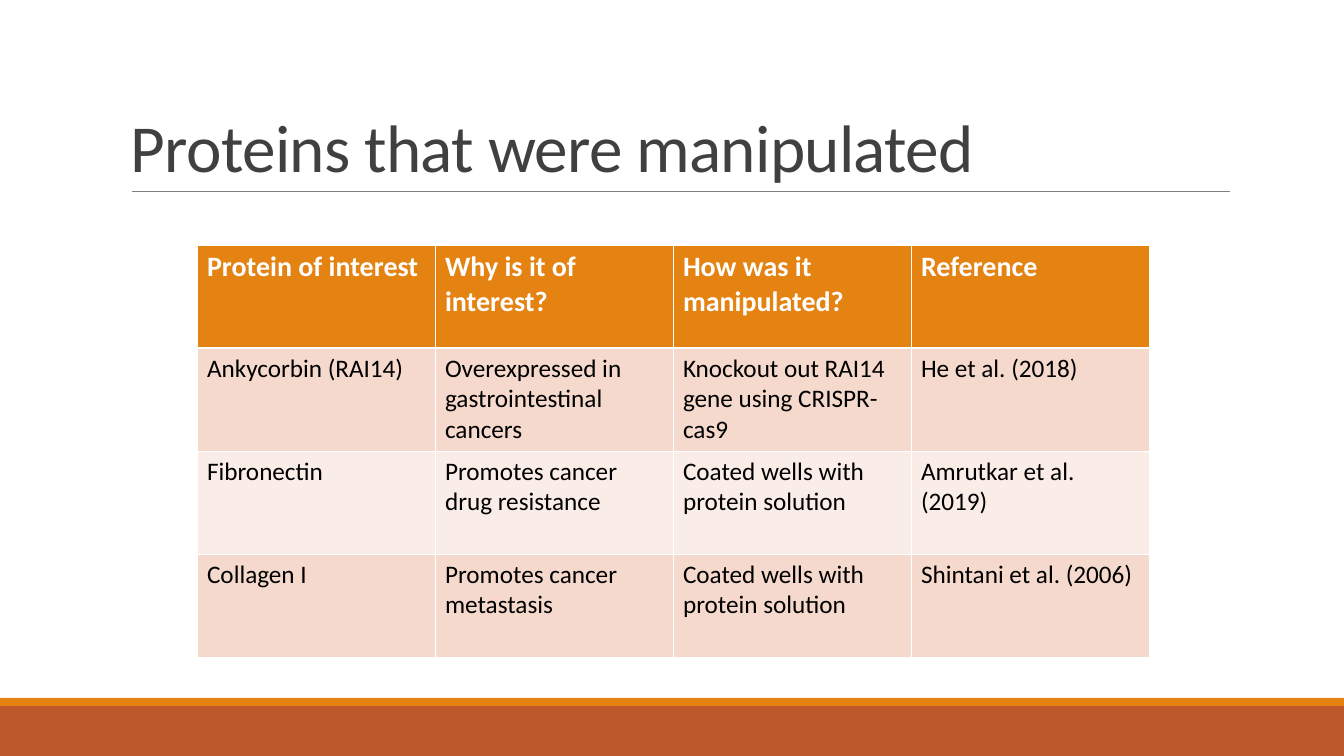
import pptx
import pptx.util
import pptx.dml.color
import pptx.enum.shapes
import pptx.enum.text
import pptx.oxml
import pptx.oxml.ns

RGB = pptx.dml.color.RGBColor
WHITE, BLACK = RGB(0xFF, 0xFF, 0xFF), RGB(0, 0, 0)
CHARCOAL, GRAY = RGB(0x40, 0x40, 0x40), RGB(0x80, 0x80, 0x80)
ORANGE, RUST = RGB(0xE4, 0x83, 0x12), RGB(0xBD, 0x58, 0x2C)
PEACH, PALE = RGB(0xF5, 0xD9, 0xCC), RGB(0xFA, 0xED, 0xE7)

TITLE = "Proteins that were manipulated"
ROWS = [
    ("Protein of interest", "Why is it of interest?", "How was it manipulated?", "Reference"),
    ("Ankycorbin (RAI14)", "Overexpressed in gastrointestinal cancers",
     "Knockout out RAI14 gene using CRISPR-cas9", "He et al. (2018)"),
    ("Fibronectin", "Promotes cancer drug resistance",
     "Coated wells with protein solution", "Amrutkar et al. (2019)"),
    ("Collagen I", "Promotes cancer metastasis",
     "Coated wells with protein solution", "Shintani et al. (2006)"),
]
FONT = "Calibri"
SLIDE_W, SLIDE_H = 1344, 756
BANDS = [(706, 50, RUST), (698, 8, ORANGE)]  # top, height, colour
TITLE_BOX = (121, 31, 1109, 160)
RULE = (132, 191, 1230, 191)
TABLE_X, TABLE_Y, COL_W, ROW_H = 197, 245, 238, 103
THIN, THICK = 0.62, 1.86


def px(*lengths):
    return [round(n * 12192000 / SLIDE_W) for n in lengths]


def write(tf, text, size, color, bold=False, spacing=None, line_spacing=None):
    p = tf.paragraphs[0]
    p.line_spacing = line_spacing
    r = p.add_run()
    r.text = text
    r.font.name, r.font.size = FONT, pptx.util.Pt(size)
    r.font.bold, r.font.color.rgb = bold, color
    if spacing is not None:
        r._r.get_or_add_rPr().set("spc", str(round(spacing * 100)))


def add_borders(cell, top, bottom):
    """Draw white borders; call before filling, as the schema wants lines first."""
    tcPr = cell._tc.get_or_add_tcPr()
    for side, width in (("L", THIN), ("R", THIN), ("T", top), ("B", bottom)):
        tcPr.append(pptx.oxml.parse_xml(
            f'<a:ln{side} {pptx.oxml.ns.nsdecls("a")} w="{pptx.util.Pt(width)}">'
            f'<a:solidFill><a:srgbClr val="{WHITE}"/></a:solidFill></a:ln{side}>'))


def add_frame(s):
    for top, height, color in BANDS:
        sp = s.shapes.add_shape(pptx.enum.shapes.MSO_SHAPE.RECTANGLE,
                                *px(0, top, SLIDE_W, height))
        sp.shadow.inherit = False
        sp.fill.solid()
        sp.fill.fore_color.rgb = color
        sp.line.fill.background()
    rule = s.shapes.add_connector(pptx.enum.shapes.MSO_CONNECTOR.STRAIGHT, *px(*RULE))
    rule.line.color.rgb, rule.line.width = GRAY, pptx.util.Pt(0.5)
    rule._element.spPr.append(pptx.oxml.parse_xml(
        f'<a:effectLst {pptx.oxml.ns.nsdecls("a")}/>'))


def add_title(s):
    tf = s.shapes.add_textbox(*px(*TITLE_BOX)).text_frame
    tf.word_wrap = True
    tf.vertical_anchor = pptx.enum.text.MSO_ANCHOR.BOTTOM
    write(tf, TITLE, 48, CHARCOAL, spacing=-0.5, line_spacing=0.85)


def add_protein_table(s):
    rows, cols = len(ROWS), len(ROWS[0])
    table = s.shapes.add_table(
        rows, cols, *px(TABLE_X, TABLE_Y, cols * COL_W, rows * ROW_H)).table
    for col in table.columns:
        col.width = px(COL_W)[0]
    for i, texts in enumerate(ROWS):
        table.rows[i].height = px(ROW_H)[0]
        header = i == 0
        fill = ORANGE if header else PEACH if i % 2 else PALE
        for j, text in enumerate(texts):
            cell = table.cell(i, j)
            add_borders(cell, THICK if i == 1 else THIN, THICK if header else THIN)
            cell.fill.solid()
            cell.fill.fore_color.rgb = fill
            write(cell.text_frame, text, 20 if header else 18,
                  WHITE if header else BLACK, bold=header)


def main():
    prs = pptx.Presentation()
    prs.slide_width, prs.slide_height = px(SLIDE_W, SLIDE_H)
    s = prs.slides.add_slide(prs.slide_layouts[6])
    add_frame(s)
    add_protein_table(s)
    add_title(s)
    prs.save("out.pptx")


if __name__ == "__main__":
    main()
